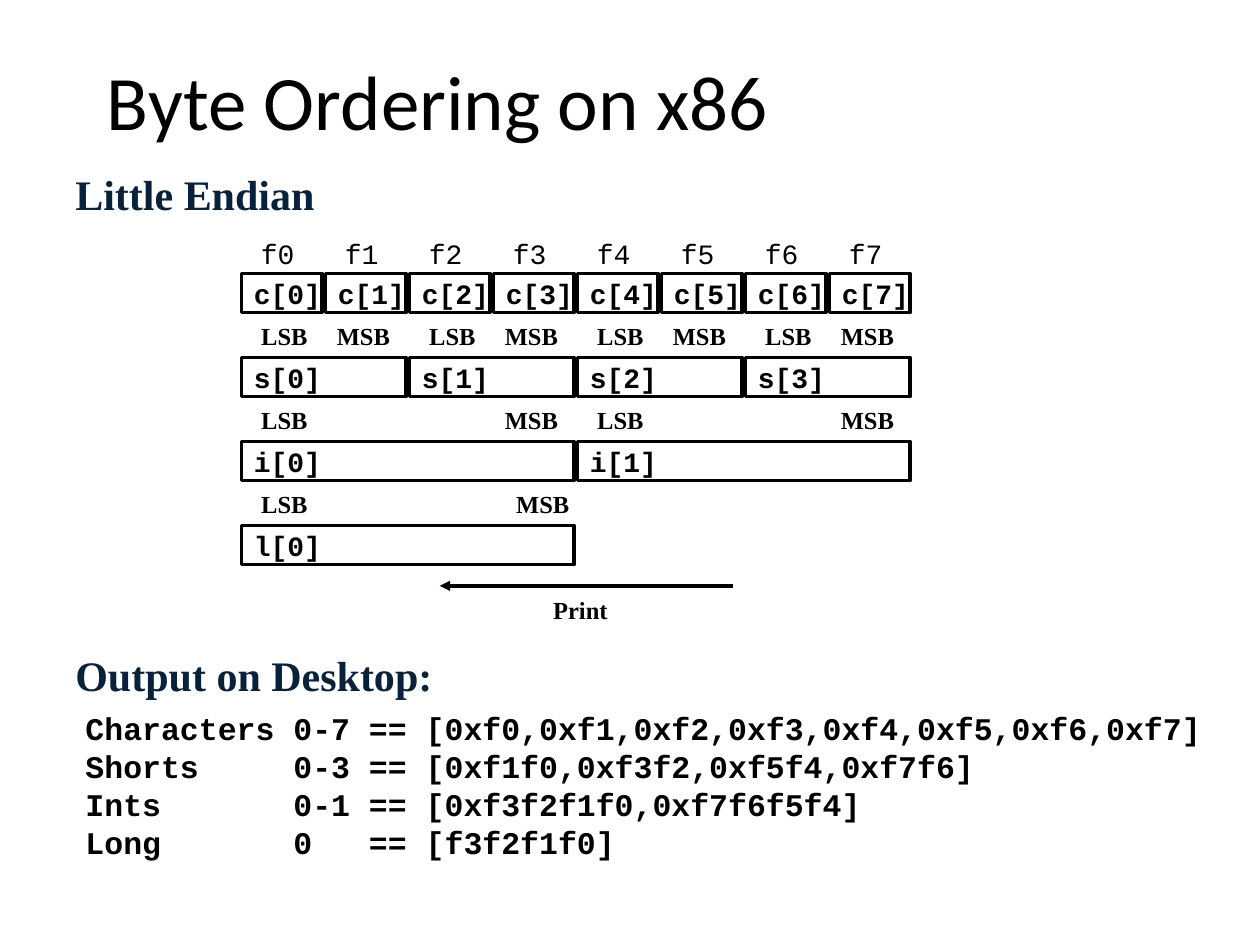
from lxml import etree
from pptx import Presentation
from pptx.dml.color import RGBColor
from pptx.enum.shapes import MSO_CONNECTOR, MSO_SHAPE
from pptx.enum.text import MSO_ANCHOR, PP_ALIGN
from pptx.oxml.ns import qn
from pptx.util import Pt

RECTANGLE = MSO_SHAPE.RECTANGLE
STRAIGHT = MSO_CONNECTOR.STRAIGHT
TOP, MIDDLE = MSO_ANCHOR.TOP, MSO_ANCHOR.MIDDLE
LEFT, RIGHT = PP_ALIGN.LEFT, PP_ALIGN.RIGHT

SERIF, MONO = "Times New Roman", "Courier New"
BLACK, WHITE, NAVY = "000000", "FFFFFF", "09213B"
MEMORY_LEFT, MEMORY_TOP = 138, 156.25
BYTE_WIDTH, ROW_PITCH = 48, 48
CELL_GAP, CELL_HEIGHT = 2, 22.5

ROWS = [("c", 1, 8), ("s", 2, 4), ("i", 4, 2), ("l", 4, 1)]
OUTPUT = [
    "Characters 0-7 == [0xf0,0xf1,0xf2,0xf3,0xf4,0xf5,0xf6,0xf7]",
    "Shorts     0-3 == [0xf1f0,0xf3f2,0xf5f4,0xf7f6]",
    "Ints       0-1 == [0xf3f2f1f0,0xf7f6f5f4]",
    "Long       0   == [f3f2f1f0]",
]


def color(value):
    return RGBColor.from_string(value)


def write_text(shape, text, *, font=SERIF, size=14, fill=BLACK, bold=True,
               align=LEFT, anchor=TOP, wrap=False, top_inset=3.6):
    frame = shape.text_frame
    frame.word_wrap = wrap
    frame.vertical_anchor = anchor
    frame.margin_left = frame.margin_right = Pt(7.2)
    frame.margin_top, frame.margin_bottom = Pt(top_inset), Pt(3.6)
    frame.text = text
    for paragraph in frame.paragraphs:
        paragraph.alignment = align
        paragraph.font.name = font
        paragraph.font.size = Pt(size)
        paragraph.font.bold = bold
        paragraph.font.color.rgb = color(fill)


def add_label(slide, text, left, top, width, height, **text_format):
    box = slide.shapes.add_textbox(Pt(left), Pt(top), Pt(width), Pt(height))
    write_text(box, text, **text_format)


def add_heading(slide, text, top, width, height):
    add_label(slide, text, 36, top, width, height, size=24, fill=NAVY,
              wrap=True, top_inset=6)


def add_cell(slide, text, left, top, width):
    cell = slide.shapes.add_shape(RECTANGLE, Pt(left), Pt(top), Pt(width), Pt(CELL_HEIGHT))
    cell.shadow.inherit = False
    cell.fill.solid()
    cell.fill.fore_color.rgb = color(WHITE)
    cell.line.color.rgb = color(BLACK)
    cell.line.width = Pt(2)
    write_text(cell, text, font=MONO, size=16, anchor=MIDDLE)


def add_arrow(slide, start_x, end_x, y):
    arrow = slide.shapes.add_connector(STRAIGHT, Pt(start_x), Pt(y), Pt(end_x), Pt(y))
    arrow.line.color.rgb = color(BLACK)
    arrow.line.width = Pt(2)
    etree.SubElement(arrow.line._get_or_add_ln(), qn("a:tailEnd"), type="triangle")
    etree.SubElement(arrow._element.spPr, qn("a:effectLst"))


def add_memory(slide):
    for index in range(8):
        add_label(slide, f"f{index}", MEMORY_LEFT + 4 + index * BYTE_WIDTH, 131.75,
                  37.5, 26, font=MONO, size=16, bold=False, wrap=True)
    for row, (name, byte_count, cell_count) in enumerate(ROWS):
        top = MEMORY_TOP + row * ROW_PITCH
        width = byte_count * BYTE_WIDTH - CELL_GAP
        msb_shift = 4.5 if name == "l" else -2
        for index in range(cell_count):
            left = MEMORY_LEFT + index * byte_count * BYTE_WIDTH
            add_cell(slide, f"{name}[{index}]", left, top, width)
            if byte_count > 1:
                add_label(slide, "LSB", left + 2.4, top - 24.25, 42.5, 24, align=RIGHT)
                add_label(slide, "MSB", left + width + msb_shift - 45.25, top - 24.25,
                          45.25, 24, align=RIGHT)


def main():
    presentation = Presentation()
    presentation.slide_width, presentation.slide_height = Pt(720), Pt(540)
    slide = presentation.slides.add_slide(presentation.slide_layouts[6])
    add_label(slide, "Byte Ordering on x86", 54, 24, 494, 44, font="Calibri",
              size=44, bold=False, wrap=True, top_inset=6.5)
    add_heading(slide, "Little Endian", 90, 205, 32.5)
    add_memory(slide)
    add_arrow(slide, 419, 251.25, 334.75)
    add_label(slide, "Print", 309, 336.25, 46, 24)
    add_heading(slide, "Output on Desktop:", 365, 288, 24.5)
    add_label(slide, "\n".join(OUTPUT), 41.75, 401.75, 658, 94.5, font=MONO, size=18)
    presentation.save("out.pptx")


if __name__ == "__main__":
    main()
